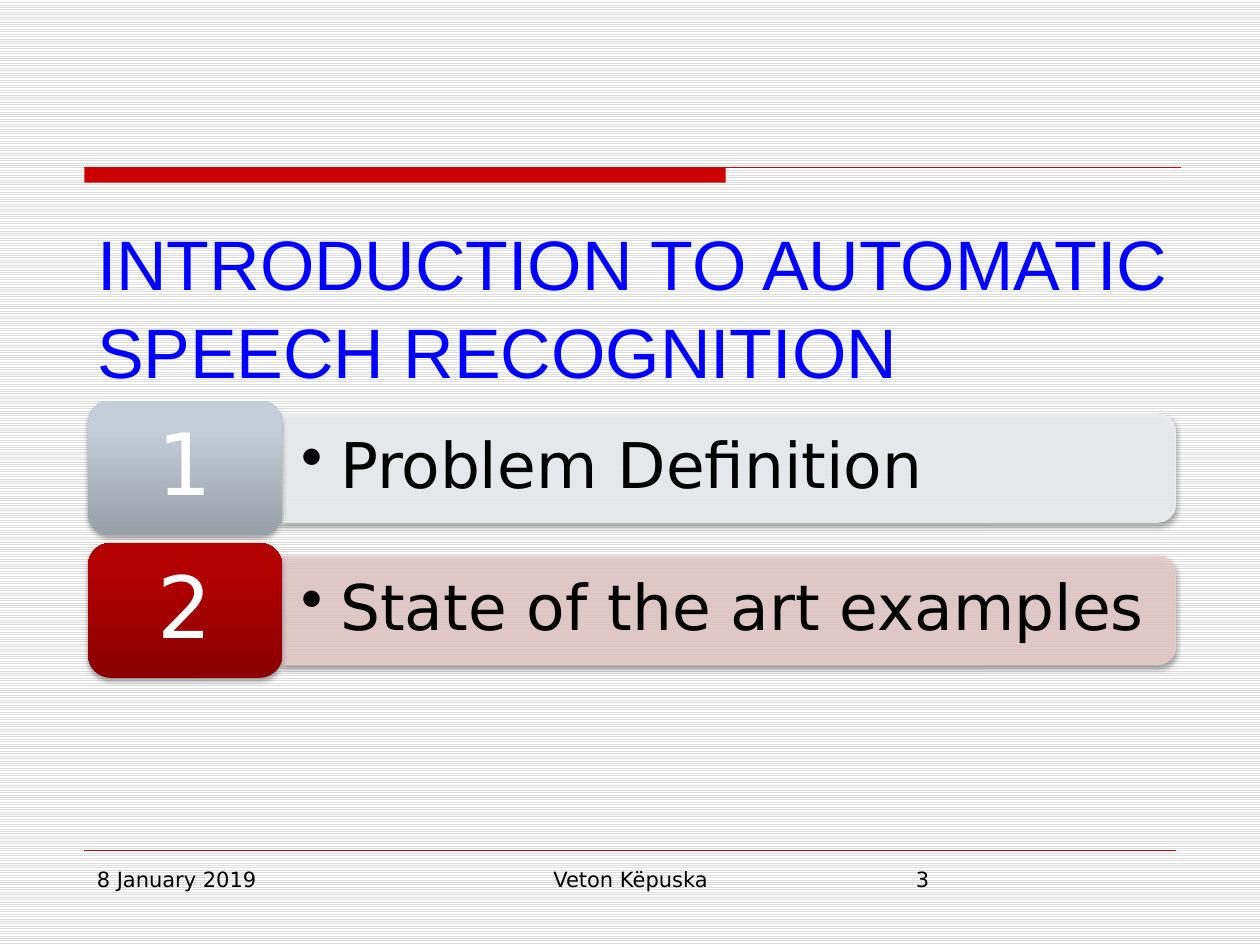
"""Build the agenda slide of a speech recognition lecture."""
from dataclasses import dataclass

from lxml import etree
from pptx import Presentation
from pptx.dml.color import RGBColor
from pptx.enum import dml, shapes, text
from pptx.oxml.ns import qn
from pptx.util import Inches, Pt


@dataclass(frozen=True)
class Theme:
    heading: str = "Arial"
    body: str = "DejaVu Sans"
    title_size: int = 40
    number_size: int = 49
    item_size: int = 36
    footer_size: int = 12
    title: str = "0000FF"
    ink: str = "000000"
    paper: str = "FFFFFF"
    stripe: str = "DDDDDD"
    accent: str = "CC0000"


@dataclass(frozen=True)
class Item:
    label: str
    bar: str
    stops: tuple[tuple[int, str], ...]


@dataclass(frozen=True)
class Footer:
    label: str
    left: float
    width: float
    align: text.PP_ALIGN = text.PP_ALIGN.LEFT


THEME = Theme()
ITEMS = [
    Item("Problem Definition", "EDEFF2", ((0, "989FA7"), (80, "C5CED8"), (100, "C6CFDA"))),
    Item("State of the art examples", "E6CBCB", ((0, "8A0000"), (80, "B30000"), (100, "B40000"))),
]
FOOTERS = [
    Footer("8 January 2019", 0.67, 2.17),
    Footer("Veton Këpuska", 3.42, 3.17, text.PP_ALIGN.CENTER),
    Footer("3", 7.17, 2.17),
]
ITEMS_TOP, ITEM_PITCH = 3.18, 1.13
TILE_LEFT, TILE_W, TILE_H = 0.7, 1.54, 1.07
BAR_W, BAR_H = 7.09, 0.86


def rgb(color: str) -> RGBColor:
    """Turn a hex string into a colour."""
    return RGBColor.from_string(color)


def child(parent, tag: str, **attrs):
    """Append a drawing element with the given attributes."""
    return etree.SubElement(parent, qn(f"a:{tag}"), {k: str(v) for k, v in attrs.items()})


def write(tf, label: str, size: float, color: str, font: str, align=text.PP_ALIGN.LEFT):
    """Write one formatted run and return its paragraph."""
    tf.word_wrap = True
    p = tf.paragraphs[0]
    p.alignment = align
    r = p.add_run()
    r.text = label
    r.font.name, r.font.size = font, Pt(size)
    r.font.color.rgb = rgb(color)
    return p


def set_insets(tf, across: float, down: float) -> None:
    """Set the margins of a text frame and centre it vertically."""
    tf.margin_left = tf.margin_right = Inches(across)
    tf.margin_top = tf.margin_bottom = Inches(down)
    tf.vertical_anchor = text.MSO_ANCHOR.MIDDLE


def add_box(s, kind, left: float, top: float, width: float, height: float):
    """Add a preset shape without shadow."""
    sp = s.shapes.add_shape(kind, Inches(left), Inches(top), Inches(width), Inches(height))
    sp.shadow.inherit = False
    return sp


def add_shadow(sp) -> None:
    """Give a shape a soft shadow below it."""
    effects = sp._element.spPr.find(qn("a:effectLst"))
    shadow = child(effects, "outerShdw", blurRad=Pt(3.1), dist=Pt(1.8), dir=5400000, rotWithShape=0)
    child(child(shadow, "srgbClr", val=THEME.ink), "alpha", val=35000)


def add_rule(s, left: float, right: float, y: float, weight: float) -> None:
    """Draw a horizontal accent line."""
    line = s.shapes.add_connector(
        shapes.MSO_CONNECTOR.STRAIGHT, Inches(left), Inches(y), Inches(right), Inches(y))
    line.line.color.rgb = rgb(THEME.accent)
    line.line.width = Pt(weight)
    child(line._element.spPr, "effectLst")


def add_bar(s, item: Item, middle: float) -> None:
    """Draw the bar of an item with its bulleted label."""
    left = TILE_LEFT + TILE_W
    sp = add_box(s, shapes.MSO_SHAPE.ROUND_2_SAME_RECTANGLE,
                 left + (BAR_W - BAR_H) / 2, middle - BAR_W / 2, BAR_H, BAR_W)
    sp.rotation = 90
    sp.fill.solid()
    sp.fill.fore_color.rgb = sp.line.color.rgb = rgb(item.bar)
    sp.line.width = Pt(0.75)
    for clr in sp._element.spPr.iter(qn("a:srgbClr")):
        child(clr, "alpha", val=90000)
    add_shadow(sp)
    tb = s.shapes.add_textbox(Inches(left), Inches(middle - 0.385), Inches(7.05), Inches(0.77))
    set_insets(tb.text_frame, 0.15, 0.07)
    p = write(tb.text_frame, item.label, THEME.item_size, THEME.ink, THEME.body)
    p.line_spacing = 0.9
    ppr = p._p.get_or_add_pPr()
    ppr.set("marL", str(Inches(0.31)))
    ppr.set("indent", str(Inches(-0.31)))
    child(ppr, "buChar", char="•")


def add_tile(s, item: Item, number: int, top: float) -> None:
    """Draw the numbered gradient tile of an item."""
    sp = add_box(s, shapes.MSO_SHAPE.ROUNDED_RECTANGLE, TILE_LEFT, top, TILE_W, TILE_H)
    sp.fill.gradient()
    sp.fill.gradient_angle = 90
    stops = sp._element.spPr.find(f".//{qn('a:gsLst')}")
    for gs in list(stops):
        stops.remove(gs)
    for pos, color in item.stops:
        child(child(stops, "gs", pos=pos * 1000), "srgbClr", val=color)
    sp.line.fill.background()
    add_shadow(sp)
    set_insets(sp.text_frame, 0.2, 0.1)
    p = write(sp.text_frame, str(number), THEME.number_size, THEME.paper, THEME.body,
              text.PP_ALIGN.CENTER)
    p.line_spacing = 0.9


def add_title(s, label: str) -> None:
    """Place and format the slide title."""
    title = s.shapes.title
    title.left, title.top = Inches(0.67), Inches(1.67)
    title.width, title.height = Inches(8.71), Inches(1.49)
    tf = title.text_frame
    tf.auto_size = text.MSO_AUTO_SIZE.NONE
    set_insets(tf, 0.1, 0.05)
    p = write(tf, label, THEME.title_size, THEME.title, THEME.heading)
    p.line_spacing = 1.05


def main() -> None:
    """Build and save the slide."""
    prs = Presentation()
    prs.slide_width, prs.slide_height = Inches(10), Inches(7.5)
    s = prs.slides.add_slide(prs.slide_layouts[5])
    fill = s.background.fill
    fill.patterned()
    fill.pattern = dml.MSO_PATTERN.LIGHT_HORIZONTAL
    fill.fore_color.rgb, fill.back_color.rgb = rgb(THEME.stripe), rgb(THEME.paper)

    band = add_box(s, shapes.MSO_SHAPE.RECTANGLE, 0.67, 1.33, 5.09, 0.12)
    band.fill.solid()
    band.fill.fore_color.rgb = rgb(THEME.accent)
    band.line.fill.background()
    add_rule(s, 0.67, 9.37, 1.33, 0.75)
    add_rule(s, 0.67, 9.33, 6.75, 0.25)
    add_title(s, "INTRODUCTION TO AUTOMATIC SPEECH RECOGNITION")

    for i, item in enumerate(ITEMS):
        top = ITEMS_TOP + i * ITEM_PITCH
        add_bar(s, item, top + TILE_H / 2)
        add_tile(s, item, i + 1, top)
    for f in FOOTERS:
        tb = s.shapes.add_textbox(Inches(f.left), Inches(6.83), Inches(f.width), Inches(0.52))
        write(tb.text_frame, f.label, THEME.footer_size, THEME.ink, THEME.body, f.align)
    prs.save("out.pptx")


main()
